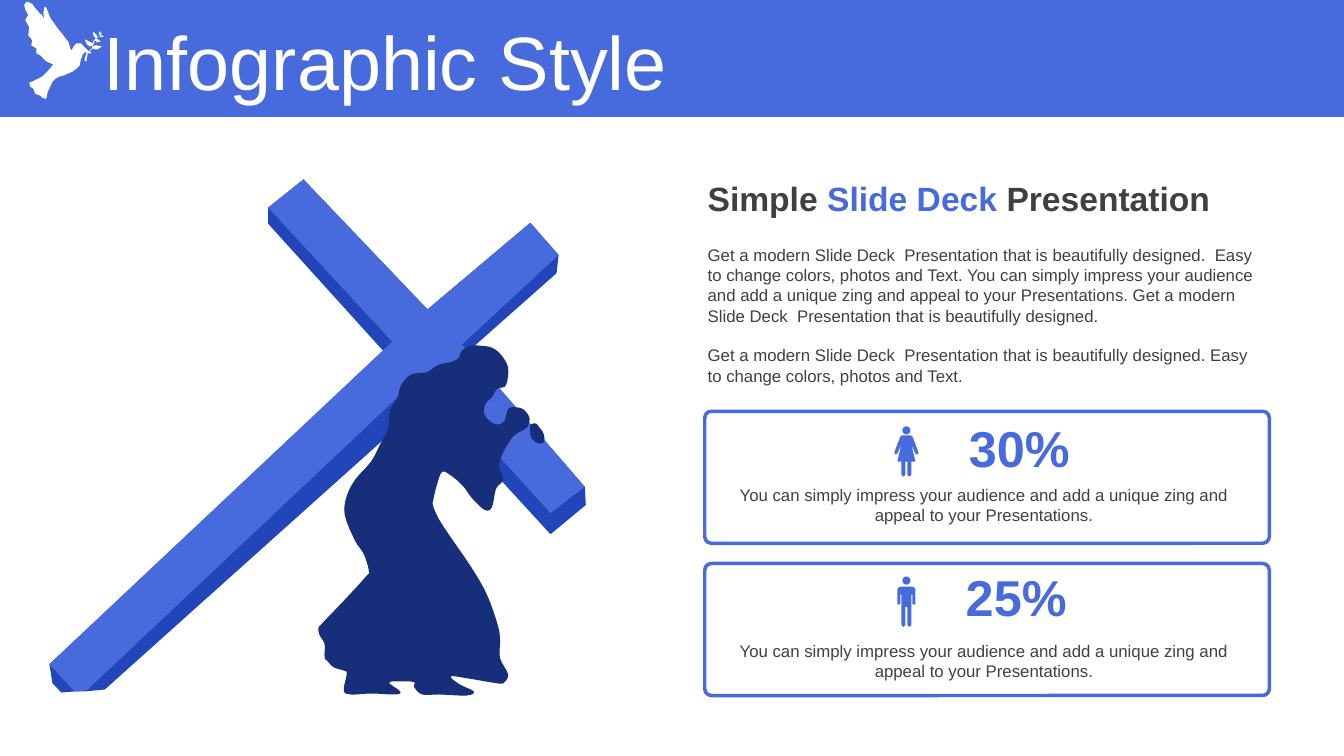
import dataclasses
import math

import pptx
import pptx.dml.color
import pptx.enum.shapes
import pptx.enum.text
import pptx.util

EMU_PER_PX = 9144  # 100 px to the inch
ALIGN = pptx.enum.text.PP_ALIGN
ANCHOR = pptx.enum.text.MSO_ANCHOR
AUTO_SIZE = pptx.enum.text.MSO_AUTO_SIZE
SHAPE = pptx.enum.shapes.MSO_SHAPE


@dataclasses.dataclass(frozen=True)
class Theme:
    font: str = "Arial"
    blue: str = "476ADD"
    blue_side: str = "2245B9"
    navy: str = "172E7B"
    grey: str = "404040"
    white: str = "FFFFFF"
    title_size: int = 54
    number_size: int = 36
    heading_size: int = 24
    body_size: int = 12


THEME = Theme()
INTRO = (
    "Get a modern Slide Deck  Presentation that is beautifully designed.  Easy to change colors, "
    "photos and Text. You can simply impress your audience and add a unique zing and appeal to your "
    "Presentations. Get a modern Slide Deck  Presentation that is beautifully designed.",
    "Get a modern Slide Deck  Presentation that is beautifully designed. Easy to change colors, "
    "photos and Text.",
)
CAPTION = "You can simply impress your audience and add a unique zing and appeal to your Presentations."

# Outlines: x,y pairs in px
DOVE = """35,93 33,88 30,86 29,82 32,81 42,76 47,71 53,64 46,61 40,55 36,53 36,48 31,45
32,40 28,35 29,27 25,20 28,15 25,9 24,5 26,2 28,2 32,4 34,7 40,14 41,14 44,19 43,13 44,7 45,7 46,8
50,18 57,28 62,34 68,42 70,49 71,50 73,46 76,43 80,43 85,48 88,51 86,52 84,52 82,54 81,57 80,60
79,65 76,68 72,71 63,75 59,76 55,78 52,81 47,92 46,98 45,98 42,97 40,95"""
BRANCH = """88,51 91,48 92,45 89,46 86,44 84,39 88,41 92,43 93,40 95,38 93,36 92,32 93,32 96,35
96,37 100,35 98,34 98,33 99,31 100,34 101,31 100,35 103,36 101,37 99,36 95,38 97,39 100,41 96,42
94,40 92,46 95,45 101,46 97,49 94,49 92,48 89,51 91,53 87,53 86,58 86,61 85,61 84,60 84,58 86,52"""
CROSS_SIDE = """84,686 104,684 424,397 546,530 581,501 580,483 464,349 552,271 554,253 526,221 424,307
301,178 266,206 266,222 380,348 49,659 52,678 61,687 74,686"""
CROSS_FRONT = """526,221 424,307 301,178 266,206 389,339 49,659 74,686 86,685 420,370 546,509 580,483
458,342 554,253"""
HAND = "540,437 537,440 532,439 527,434 526,428 526,422 531,420 535,424 539,430"
FIGURE = """519,406 510,404 504,406 500,418 492,421 484,416 480,409 482,400 488,394 492,387
495,385 502,382 504,365 497,352 488,345 477,343 467,343 458,348 455,355 448,359
435,362 424,369 417,370 407,372 398,382 394,395 387,407 385,425 377,441
368,458 353,475 344,492 342,511 352,536 361,550 366,567 363,572 342,595 320,618 316,623 317,630
322,639 322,652 325,656 331,662 340,665 344,668 341,685 348,689
369,688 392,689 397,686 386,677 402,676 411,677 411,682 419,689 436,689 463,690 470,686
456,679 447,671 464,673 494,678 500,677 504,669 496,653 496,636 494,621
483,590 467,562 439,521 430,503 430,495 434,479 439,468 449,473
460,483 468,494 481,506 488,503 492,485 499,476 495,463 499,449 509,433 520,426 524,422 525,414"""

# Left half of each person, mirrored about the icon's middle
PERSON_MIDDLE = 899
WOMAN_HALF = """895,432 893,433 887,449 888,451 890,450 894,441 890,458 894,458 894,471 896,473
898,471 898,458"""
MAN_HALF = """893,582 891,583 890,585 890,599 891,600 893,599 893,590 894,590 894,620 896,622
898,620 898,602"""


def px(length):
    return pptx.util.Emu(round(length * EMU_PER_PX))


def rgb(colour):
    return pptx.dml.color.RGBColor.from_string(colour)


def read_points(outline):
    return [tuple(map(int, pair.split(","))) for pair in outline.split()]


def smooth(points, steps=4):
    """Run a closed Catmull-Rom curve through the points."""
    curve = []
    for i, start in enumerate(points):
        before, end, after = points[i - 1], points[(i + 1) % len(points)], points[(i + 2) % len(points)]
        for step in range(steps):
            t = step / steps
            curve.append(tuple(
                b + t * (c - a) / 2 + t**2 * (2 * a - 5 * b + 4 * c - d) / 2
                + t**3 * (3 * b - a - 3 * c + d) / 2
                for a, b, c, d in zip(before, start, end, after)))
    return curve


def style_shape(shape, fill=None, line=None):
    shape.shadow.inherit = False
    if fill:
        shape.fill.solid()
        shape.fill.fore_color.rgb = rgb(fill)
    else:
        shape.fill.background()
    if line:
        shape.line.color.rgb = rgb(line)
        shape.line.width = pptx.util.Pt(2.5)
    else:
        shape.line.fill.background()


def add_outline(shapes, colour, *contours):
    contours = [[(px(x), px(y)) for x, y in contour] for contour in contours]
    builder = shapes.build_freeform(*contours[0][0], scale=1.0)
    for i, contour in enumerate(contours):
        if i:
            builder.move_to(*contour[0])
        builder.add_line_segments(contour[1:], close=True)
    style_shape(builder.convert_to_shape(), fill=colour)


def add_person(shapes, half_outline, head_y):
    half = read_points(half_outline)
    body = half + [(2 * PERSON_MIDDLE - x, y) for x, y in reversed(half)]
    turns = [math.tau * i / 16 for i in range(16)]
    head = [(PERSON_MIDDLE + 4 * math.cos(turn), head_y + 4 * math.sin(turn)) for turn in turns]
    add_outline(shapes, THEME.blue, body, head)


def add_run(paragraph, text, size, colour, bold=False):
    run = paragraph.add_run()
    run.text = text
    font_format = {"name": THEME.font, "size": pptx.util.Pt(size), "bold": bold}
    for name, value in font_format.items():
        setattr(run.font, name, value)
    run.font.color.rgb = rgb(colour)


def add_text(slide, box, paragraphs, size, bold=False, align=ALIGN.LEFT, wrap=True, gap=0):
    """Each paragraph is a list of (text, colour) runs."""
    frame = slide.shapes.add_textbox(*map(px, box)).text_frame
    frame.word_wrap = wrap
    for i, runs in enumerate(paragraphs):
        paragraph = frame.add_paragraph() if i else frame.paragraphs[0]
        paragraph.alignment = align
        if i:
            paragraph.space_before = pptx.util.Pt(gap)
        for text, colour in runs:
            add_run(paragraph, text, size, colour, bold)


def add_header(slide, text):
    band = slide.shapes.add_shape(SHAPE.RECTANGLE, 0, 0, px(1333), px(116))
    style_shape(band, fill=THEME.blue)
    add_outline(slide.shapes, THEME.white, read_points(DOVE), read_points(BRANCH))
    title = slide.shapes.title
    slide.shapes.element.append(title.element)  # bring in front of the band
    title.left, title.top, title.width, title.height = map(px, (93, 26, 1185, 79))
    frame_format = {"vertical_anchor": ANCHOR.MIDDLE, "auto_size": AUTO_SIZE.NONE, "word_wrap": True}
    for name, value in frame_format.items():
        setattr(title.text_frame, name, value)
    paragraph = title.text_frame.paragraphs[0]
    paragraph.alignment = ALIGN.LEFT
    paragraph.line_spacing = 0.9
    add_run(paragraph, text, THEME.title_size, THEME.white)


def add_illustration(slide):
    shapes = slide.shapes.add_group_shape().shapes
    add_outline(shapes, THEME.blue_side, read_points(CROSS_SIDE))
    add_outline(shapes, THEME.blue, read_points(CROSS_FRONT))
    for outline in (HAND, FIGURE):
        add_outline(shapes, THEME.navy, smooth(read_points(outline)))


def add_card(slide, top, number, number_at, caption_top, half_outline, head_y):
    card = slide.shapes.add_shape(SHAPE.ROUNDED_RECTANGLE, *map(px, (699, top, 560, 131)))
    card.adjustments[0] = 0.05
    style_shape(card, line=THEME.blue)
    add_text(slide, (715, caption_top, 522, 50), [[(CAPTION, THEME.grey)]], THEME.body_size,
             align=ALIGN.CENTER)
    add_text(slide, (*number_at, 121, 71), [[(number, THEME.blue)]], THEME.number_size,
             bold=True, wrap=False)
    add_person(slide.shapes, half_outline, head_y)


def main():
    presentation = pptx.Presentation()
    presentation.slide_width, presentation.slide_height = px(1333), px(750)
    slide = presentation.slides.add_slide(presentation.slide_layouts[5])
    add_header(slide, "Infographic Style")
    add_illustration(slide)

    # Heading and introduction
    heading = [("Simple ", THEME.grey), ("Slide Deck ", THEME.blue), ("Presentation", THEME.grey)]
    add_text(slide, (692, 172, 568, 50), [heading], THEME.heading_size, bold=True)
    add_text(slide, (692, 238, 568, 151), [[(text, THEME.grey)] for text in INTRO],
             THEME.body_size, gap=14)

    # Statistics
    add_card(slide, 408, "30%", (951, 409), 476, WOMAN_HALF, 427)
    add_card(slide, 559, "25%", (948, 557), 631, MAN_HALF, 576)
    presentation.save("out.pptx")


if __name__ == "__main__":
    main()
